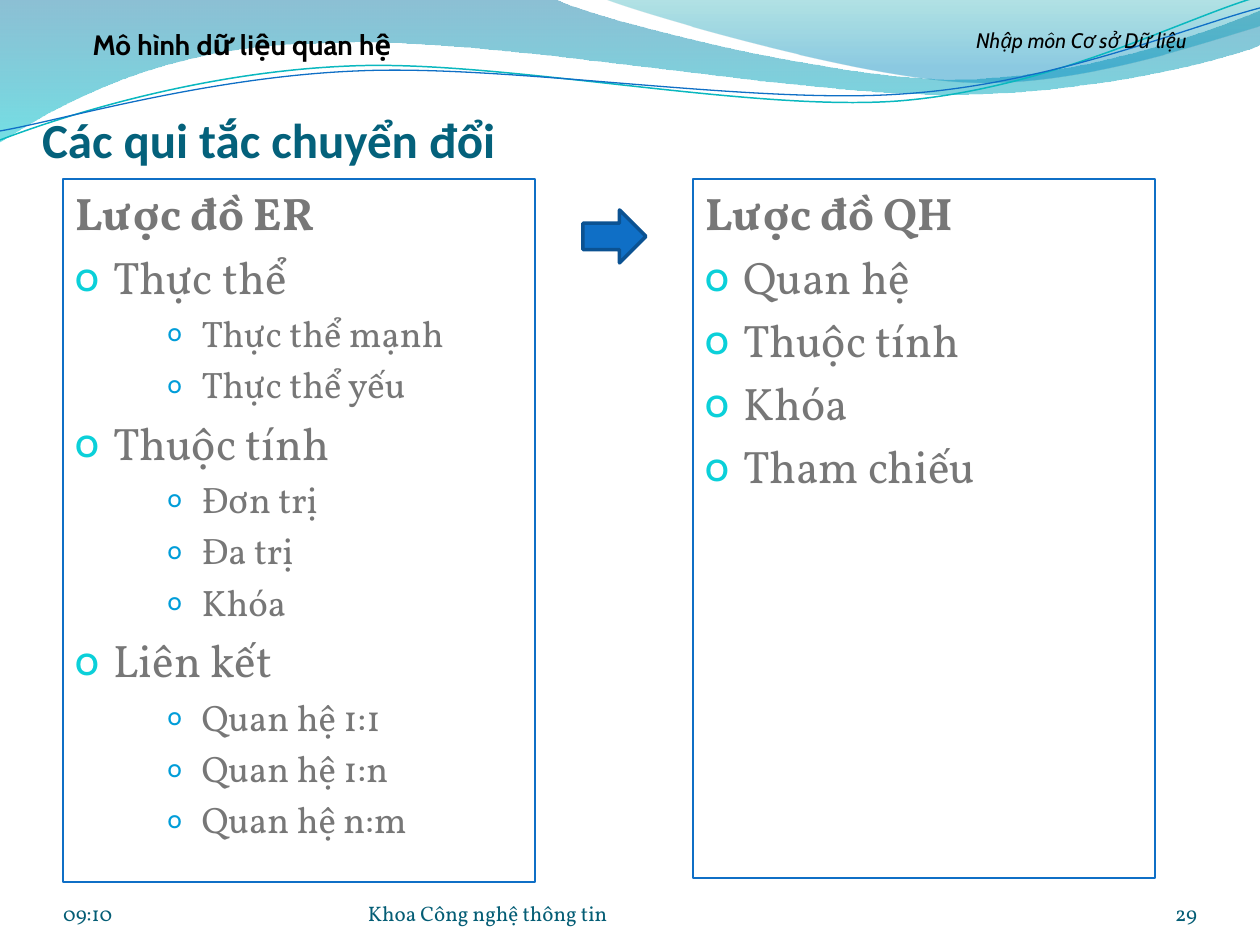
from lxml import etree
from pptx import Presentation
from pptx import util as u
from pptx.dml.color import RGBColor
from pptx.enum import shapes, text
from pptx.oxml.ns import qn

PX = u.Inches(1) / 126

TITLE_BLUE = RGBColor(0x04, 0x61, 0x7B)
FOOTER_BLUE = RGBColor(0x04, 0x5D, 0x75)
BODY_GRAY = RGBColor(0x77, 0x77, 0x77)
BLACK = RGBColor(0, 0, 0)
BLUE = RGBColor(0x0F, 0x6F, 0xC6)
DARK_BLUE = RGBColor(0x0B, 0x52, 0x92)
TEAL = RGBColor(0x0A, 0xB8, 0xBF)
CYAN = RGBColor(0x0B, 0xD0, 0xD9)
SKY = RGBColor(0x00, 0x9D, 0xD9)

# Content
TITLE = "Các qui tắc chuyển đổi"
PANELS = [  # box, heading, items with their sub-items
    ((63, 179, 472, 703), "Lược đồ ER", [
        ("Thực thể", ["Thực thể mạnh", "Thực thể yếu"]),
        ("Thuộc tính", ["Đơn trị", "Đa trị", "Khóa"]),
        ("Liên kết", ["Quan hệ 1:1", "Quan hệ 1:n", "Quan hệ n:m"]),
    ]),
    ((693, 179, 462, 699), "Lược đồ QH", [
        ("Quan hệ", []), ("Thuộc tính", []), ("Khóa", []), ("Tham chiếu", []),
    ]),
]
HEADERS = [
    ("Nhập môn Cơ sở Dữ liệu", (903, 21, 357, 48), dict(size=12, italic=True)),
    ("Mô hình dữ liệu quan hệ", (32, 21, 420, 47), dict(size=16, bold=True)),
]
FOOTERS = [
    ("09:10", (63, 876, 294, 50), text.PP_ALIGN.LEFT),
    ("Khoa Công nghệ thông tin", (368, 876, 462, 50), text.PP_ALIGN.LEFT),
    ("29", (1092, 876, 105, 50), text.PP_ALIGN.RIGHT),
]
# Each segment is one point (straight) or three points (Bezier curve)
BANDS = [  # start, segments, gradient stops (position, colour, opacity)
    ((0, -1), [
        [(554, -1)], [(600, 21), (837, 79), (955, 79)],
        [(1074, 79), (1207, 33), (1260, 11)], [(1261, 45)],
        [(1239, 55), (1096, 96), (940, 94)],
        [(784, 94), (481, 35), (324, 43)],
        [(163, 44), (58, 105), (-1, 142)],
    ], [(0, "0074A1", 45), (100, "00C6CF", 55)]),
    ((604, -1), [
        [(641, 14), (859, 78), (969, 82)],
        [(1079, 87), (1211, 40), (1260, 26)], [(1260, 0)],
    ], [(0, "00A1A9", 30), (80, "008BBF", 45)]),
]
WAVE_LINES = [  # start, segments, colour, width
    ((0, 140), [
        [(60, 117), (199, 72), (349, 66)],
        [(498, 59), (747, 112), (898, 101)],
        [(1050, 89), (1182, 19), (1257, -3)],
    ], TEAL, 0.85),
    ((0, 131), [
        [(59, 121), (207, 77), (357, 71)],
        [(508, 64), (752, 105), (903, 94)],
        [(1053, 84), (1187, 27), (1260, 8)],
    ], BLUE, 0.75),
]


def px(*lengths):
    return [u.Emu(round(length * PX)) for length in lengths]


def add_wave(slide, start, segments, close, layer):
    """Outline through the segment ends, whose lines are then bent into curves."""
    ends = [segment[-1] for segment in segments]
    builder = slide.shapes.build_freeform(*start, scale=PX)
    builder.add_line_segments(ends, close=close)
    shape = builder.convert_to_shape()
    shape.shadow.inherit = False
    left, top = (min(axis) for axis in zip(start, *ends))
    lines = list(shape._element.iter(qn("a:lnTo")))
    for line, segment in zip(lines, segments):
        if len(segment) == 3:
            curve = etree.Element(qn("a:cubicBezTo"))
            for x, y in segment:
                etree.SubElement(curve, qn("a:pt"), x=str(x - left), y=str(y - top))
            line.getparent().replace(line, curve)
    slide.shapes._spTree.insert(2 + layer, shape._element)
    return shape


def set_gradient(shape, stops):
    shape.fill.gradient()
    gradient = shape._element.spPr.find(qn("a:gradFill"))
    for child in list(gradient):
        gradient.remove(child)
    stop_list = etree.SubElement(gradient, qn("a:gsLst"))
    for position, color, opacity in stops:
        stop = etree.SubElement(stop_list, qn("a:gs"), pos=str(position * 1000))
        value = etree.SubElement(stop, qn("a:srgbClr"), val=color)
        etree.SubElement(value, qn("a:alpha"), val=str(opacity * 1000))
    etree.SubElement(gradient, qn("a:lin"), ang="5400000", scaled="0")


def set_bullet(paragraph, margin, hanging, color=None, percent=100):
    properties = paragraph._p.get_or_add_pPr()
    properties.set("marL", str(u.Inches(margin)))
    properties.set("indent", str(-u.Inches(hanging)))
    if color is None:
        etree.SubElement(properties, qn("a:buNone"))
        return
    bullet_color = etree.SubElement(properties, qn("a:buClr"))
    etree.SubElement(bullet_color, qn("a:srgbClr"), val=str(color))
    etree.SubElement(properties, qn("a:buSzPct"), val=str(percent * 1000))
    etree.SubElement(properties, qn("a:buFont"), typeface="Cabin")
    etree.SubElement(properties, qn("a:buChar"), char="o")


def write(paragraph, words, size, font, color, bold=False, italic=False,
          align=text.PP_ALIGN.LEFT, before=0):
    paragraph.alignment = align
    paragraph.space_before = u.Pt(before)
    run = paragraph.add_run()
    run.text = words
    run.font.size, run.font.name = u.Pt(size), font
    run.font.bold, run.font.italic = bold, italic
    run.font.color.rgb = color


def place(shape, box):
    shape.left, shape.top, shape.width, shape.height = px(*box)


def set_insets(frame, left, top, right, bottom):
    frame.margin_left, frame.margin_top, frame.margin_right, frame.margin_bottom = px(
        left, top, right, bottom)


def fill_panel(shape, box, heading, items):
    place(shape, box)
    shape.line.color.rgb, shape.line.width = BLUE, u.Pt(0.75)
    frame = shape.text_frame
    frame.auto_size = text.MSO_AUTO_SIZE.NONE
    paragraph = frame.paragraphs[0]
    set_bullet(paragraph, 0.3, 0.3)
    write(paragraph, heading, 26, "Vollkorn", BODY_GRAY, bold=True)
    for item, details in items:
        paragraph = frame.add_paragraph()
        set_bullet(paragraph, 0.3, 0.3, CYAN, 95)
        write(paragraph, item, 26, "Vollkorn", BODY_GRAY, before=5)
        for detail in details:
            paragraph = frame.add_paragraph()
            paragraph.level = 2
            set_bullet(paragraph, 1, 0.27, SKY, 70)
            write(paragraph, detail, 21, "Vollkorn", BODY_GRAY, before=4.2)


def main():
    presentation = Presentation()
    presentation.slide_width, presentation.slide_height = px(1260, 945)
    slide = presentation.slides.add_slide(presentation.slide_layouts[3])

    # Wave decoration behind everything
    for layer, (start, segments, stops) in enumerate(BANDS):
        band = add_wave(slide, start, segments, True, layer)
        set_gradient(band, stops)
        band.line.fill.background()
    for layer, (start, segments, color, width) in enumerate(WAVE_LINES, len(BANDS)):
        wave = add_wave(slide, start, segments, False, layer)
        wave.fill.background()
        wave.line.color.rgb, wave.line.width = color, u.Pt(width)

    # Title
    title = slide.shapes.title
    place(title, (42, 105, 1134, 63))
    frame = title.text_frame
    frame.auto_size = text.MSO_AUTO_SIZE.NONE
    frame.vertical_anchor = text.MSO_ANCHOR.BOTTOM
    set_insets(frame, 0, 6, 0, 0)
    write(frame.paragraphs[0], TITLE, 28, "Calibri", TITLE_BLUE, bold=True)

    # The two schema panels and the arrow between them
    for number, panel in enumerate(PANELS, 1):
        fill_panel(slide.placeholders[number], *panel)
    arrow = slide.shapes.add_shape(shapes.MSO_SHAPE.RIGHT_ARROW, *px(583, 210, 63, 53))
    arrow.shadow.inherit = False
    arrow.fill.solid()
    arrow.fill.fore_color.rgb = BLUE
    arrow.line.color.rgb, arrow.line.width = DARK_BLUE, u.Pt(2)

    # Header and footer
    for words, box, style in HEADERS:
        frame = slide.shapes.add_textbox(*px(*box)).text_frame
        frame.word_wrap = True
        write(frame.paragraphs[0], words, font="Cabin", color=BLACK,
              align=text.PP_ALIGN.CENTER, **style)
    for words, box, align in FOOTERS:
        frame = slide.shapes.add_textbox(*px(*box)).text_frame
        frame.word_wrap = True
        frame.vertical_anchor = text.MSO_ANCHOR.BOTTOM
        set_insets(frame, 0, 0, 0, 0)
        write(frame.paragraphs[0], words, 12, "Vollkorn", FOOTER_BLUE, align=align)

    presentation.save("out.pptx")


if __name__ == "__main__":
    main()
